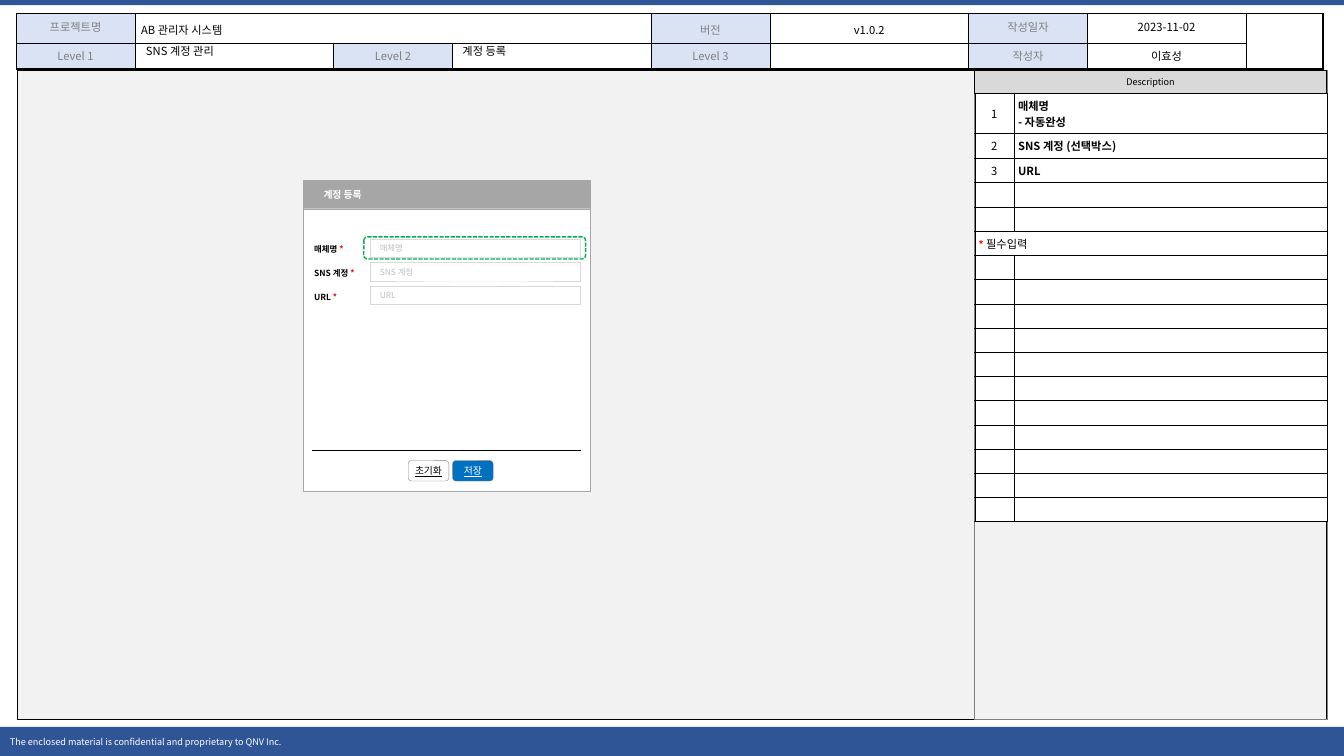
from dataclasses import dataclass

from lxml import etree
from pptx import Presentation
from pptx.dml.color import RGBColor
from pptx.enum.dml import MSO_LINE
from pptx.enum.shapes import MSO_CONNECTOR, MSO_SHAPE
from pptx.enum.text import MSO_ANCHOR, PP_ALIGN
from pptx.oxml.ns import qn
from pptx.util import Pt

RECT = MSO_SHAPE.RECTANGLE
ROUND = MSO_SHAPE.ROUNDED_RECTANGLE
STRAIGHT = MSO_CONNECTOR.STRAIGHT
DASH = MSO_LINE.SQUARE_DOT
LEFT, CENTER = PP_ALIGN.LEFT, PP_ALIGN.CENTER
TOP, MIDDLE = MSO_ANCHOR.TOP, MSO_ANCHOR.MIDDLE

FONT = "Noto Sans CJK KR"
BLACK = RGBColor(0x00, 0x00, 0x00)
WHITE = RGBColor(0xFF, 0xFF, 0xFF)
NAVY = RGBColor(0x2F, 0x55, 0x97)
BLUE = RGBColor(0x00, 0x70, 0xC0)
PALE_BLUE = RGBColor(0xDA, 0xE3, 0xF3)
GREEN = RGBColor(0x00, 0xB0, 0x50)
RED = RGBColor(0xFF, 0x00, 0x00)
GRAY = RGBColor(0x80, 0x80, 0x80)
TITLE_GRAY = RGBColor(0xA6, 0xA6, 0xA6)
HINT_GRAY = RGBColor(0xBF, 0xBF, 0xBF)
LIGHT_GRAY = RGBColor(0xD9, 0xD9, 0xD9)
CANVAS_GRAY = RGBColor(0xF2, 0xF2, 0xF2)

INSETS = (7.2, 3.6, 7.2, 3.6)
HEADER_INSETS = (4.3, 3.6, 4.3, 3.6)
NOTE_INSETS = (2.9, 2.9, 2.9, 2.9)


@dataclass
class HeaderCell:
    row: int
    col: int
    text: str
    label: bool = False
    align: PP_ALIGN = CENTER
    spacing: float = 1.0


@dataclass
class Button:
    text: str
    left: float
    fill: RGBColor
    color: RGBColor


HEADER_CELLS = [
    HeaderCell(0, 0, "프로젝트명", True),
    HeaderCell(0, 1, "AB 관리자 시스템", align=LEFT, spacing=1.2),
    HeaderCell(0, 4, "버전", True, spacing=1.2),
    HeaderCell(0, 5, "v1.0.2", spacing=1.2),
    HeaderCell(0, 6, "작성일자", True),
    HeaderCell(0, 7, "2023-11-02"),
    HeaderCell(1, 0, "Level 1", True),
    HeaderCell(1, 2, "Level 2", True),
    HeaderCell(1, 4, "Level 3", True),
    HeaderCell(1, 6, "작성자", True),
    HeaderCell(1, 7, "이효성"),
]
HEADER_WIDTHS = [85, 141.8, 85, 141.8, 85, 141.8, 85, 113, 55.4]
NOTES = [["매체명", "- 자동완성"], ["SNS 계정 (선택박스)"], ["URL"]]
NOTE_ROWS = 17
REQUIRED_ROW = 5
FIELDS = ["매체명", "SNS 계정", "URL"]
BUTTONS = [
    Button("저장", 323.3, BLUE, WHITE),
    Button("초기화", 291.6, WHITE, BLACK),
]


def add_text(p, text: str, *, size: float = 8, color: RGBColor = BLACK,
             bold: bool = False, underline: bool = False,
             align: PP_ALIGN = LEFT, spacing: float = 1.0) -> None:
    p.alignment = align
    p.line_spacing = spacing
    r = p.add_run()
    r.text = text
    f = r.font
    f.size, f.bold, f.underline, f.name = Pt(size), bold, underline, FONT
    f.color.rgb = color
    etree.SubElement(r._r.get_or_add_rPr(), qn("a:ea"), typeface=FONT)


def set_frame(tf, insets: tuple = INSETS, anchor: MSO_ANCHOR = MIDDLE) -> None:
    tf.word_wrap = True
    tf.vertical_anchor = anchor
    tf.margin_left, tf.margin_top, tf.margin_right, tf.margin_bottom = map(Pt, insets)


def add_box(s, left: float, top: float, width: float, height: float, *,
            kind: MSO_SHAPE = RECT, fill: RGBColor | None = None,
            line: RGBColor | None = None, weight: float = 0.25,
            text: str = "", insets: tuple = INSETS, **style):
    sp = s.shapes.add_shape(kind, Pt(left), Pt(top), Pt(width), Pt(height))
    sp.shadow.inherit = False
    if fill is None:
        sp.fill.background()
    else:
        sp.fill.solid()
        sp.fill.fore_color.rgb = fill
    if line is None:
        sp.line.fill.background()
    else:
        sp.line.color.rgb = line
        sp.line.width = Pt(weight)
    if text:
        set_frame(sp.text_frame, insets)
        add_text(sp.text_frame.paragraphs[0], text, **style)
    return sp


def add_text_box(s, left: float, top: float, width: float, height: float,
                 anchor: MSO_ANCHOR):
    tf = s.shapes.add_textbox(Pt(left), Pt(top), Pt(width), Pt(height)).text_frame
    set_frame(tf, anchor=anchor)
    return tf.paragraphs[0]


def style_cell(cell, insets: tuple, anchor: MSO_ANCHOR, heavy: str = "") -> None:
    tc_pr = cell._tc.get_or_add_tcPr()
    for side in "LRTB":
        weight = Pt(1.5 if side in heavy else 0.25)
        ln = etree.SubElement(tc_pr, qn(f"a:ln{side}"), w=str(weight))
        paint = etree.SubElement(ln, qn("a:solidFill"))
        etree.SubElement(paint, qn("a:srgbClr"), val=str(BLACK))
    cell.fill.solid()
    cell.fill.fore_color.rgb = WHITE
    cell.vertical_anchor = anchor
    cell.margin_left, cell.margin_top, cell.margin_right, cell.margin_bottom = map(Pt, insets)
    cell.text_frame.paragraphs[0]._p.get_or_add_endParaRPr().set("sz", "800")


def add_grid(s, left: float, top: float, widths: list[float], heights: list[float]):
    frame = s.shapes.add_table(len(heights), len(widths), Pt(left), Pt(top),
                               Pt(sum(widths)), Pt(sum(heights)))
    table = frame.table
    table.first_row = table.horz_banding = False
    for col, width in zip(table.columns, widths):
        col.width = Pt(width)
    for row, height in zip(table.rows, heights):
        row.height = Pt(height)
    return table


def add_header(s) -> None:
    table = add_grid(s, 11.5, 9.4, HEADER_WIDTHS, [21, 18.8])
    last = len(HEADER_WIDTHS) - 1
    for row in range(2):
        for col in range(last + 1):
            heavy = ("B" if row or col == last else "") + ("R" if col == last else "")
            style_cell(table.cell(row, col), HEADER_INSETS, TOP, heavy)
    table.cell(0, 1).merge(table.cell(0, 3))
    table.cell(0, last).merge(table.cell(1, last))
    for item in HEADER_CELLS:
        cell = table.cell(item.row, item.col)
        if item.label:
            cell.fill.fore_color.rgb = PALE_BLUE
        add_text(cell.text_frame.paragraphs[0], item.text, align=item.align,
                 spacing=item.spacing, color=GRAY if item.label else BLACK)


def add_notes(s) -> None:
    add_box(s, 696.2, 50.4, 252, 463.7, line=GRAY)
    add_box(s, 696.2, 50.4, 251.3, 15.9, fill=LIGHT_GRAY, line=BLACK,
            text="Description", size=6.5, align=CENTER)
    table = add_grid(s, 696.2, 66.3, [28.1, 223.9], [28.8] + [17.3] * (NOTE_ROWS - 1))
    for cell in table.iter_cells():
        style_cell(cell, NOTE_INSETS, MIDDLE)
    for i, lines in enumerate(NOTES):
        add_text(table.cell(i, 0).text_frame.paragraphs[0], str(i + 1), align=CENTER)
        tf = table.cell(i, 1).text_frame
        for j, text in enumerate(lines):
            add_text(tf.add_paragraph() if j else tf.paragraphs[0], text, bold=True)
    required = table.cell(REQUIRED_ROW, 0)
    required.merge(table.cell(REQUIRED_ROW, 1))
    p = required.text_frame.paragraphs[0]
    add_text(p, "*", size=7, color=RED, bold=True)
    add_text(p, " 필수입력")


def add_dialog(s) -> None:
    add_box(s, 216.7, 147.6, 205.2, 203, fill=WHITE, line=TITLE_GRAY)
    add_box(s, 216.7, 128.9, 205.2, 20.2, fill=TITLE_GRAY, line=TITLE_GRAY,
            text="계정 등록", insets=(14.4, 0, 0, 0), size=7, color=WHITE, bold=True)
    for i, name in enumerate(FIELDS):
        top = 170.6 + 17 * i
        p = add_text_box(s, 217.4, top + 0.4, 45.4, 14.4, TOP)
        add_text(p, f"{name} ", size=6, bold=True)
        add_text(p, "*", size=6, color=RED, bold=True)
        add_box(s, 264.2, top, 150.5, 13, fill=WHITE, line=LIGHT_GRAY,
                text=name, size=6, color=HINT_GRAY)
    focus = add_box(s, 259.9, 169.2, 158.4, 15.8, kind=ROUND, line=GREEN, weight=1)
    focus.line.dash_style = DASH
    rule = s.shapes.add_connector(STRAIGHT, Pt(223.2), Pt(321.8), Pt(414.7), Pt(321.8))
    rule.line.color.rgb = BLACK
    rule.line.width = Pt(0.5)
    etree.SubElement(rule._element.spPr, qn("a:effectLst"))
    for b in BUTTONS:
        add_box(s, b.left, 329, 29, 14.6, kind=ROUND, fill=b.fill, line=GRAY,
                text=b.text, insets=NOTE_INSETS, size=7, color=b.color,
                underline=True, align=CENTER)


def main() -> None:
    prs = Presentation()
    prs.slide_width, prs.slide_height = Pt(960), Pt(540)
    s = prs.slides.add_slide(prs.slide_layouts[6])
    add_box(s, 0, 0, 960, 3.6, fill=NAVY)
    add_box(s, 0, 519.1, 960, 20.9, fill=NAVY, size=6.5, color=WHITE,
            text="The enclosed material is confidential and proprietary to QNV Inc.")
    add_header(s)
    add_box(s, 12.2, 50.4, 935.3, 463.7, fill=CANVAS_GRAY, line=BLACK)
    add_notes(s)
    add_dialog(s)
    for left, text in ((97.2, "SNS 계정 관리"), (323.3, "계정 등록")):
        add_text(add_text_box(s, left, 28.1, 141.8, 17.3, MIDDLE), text, spacing=0.9)
    prs.save("out.pptx")


if __name__ == "__main__":
    main()
